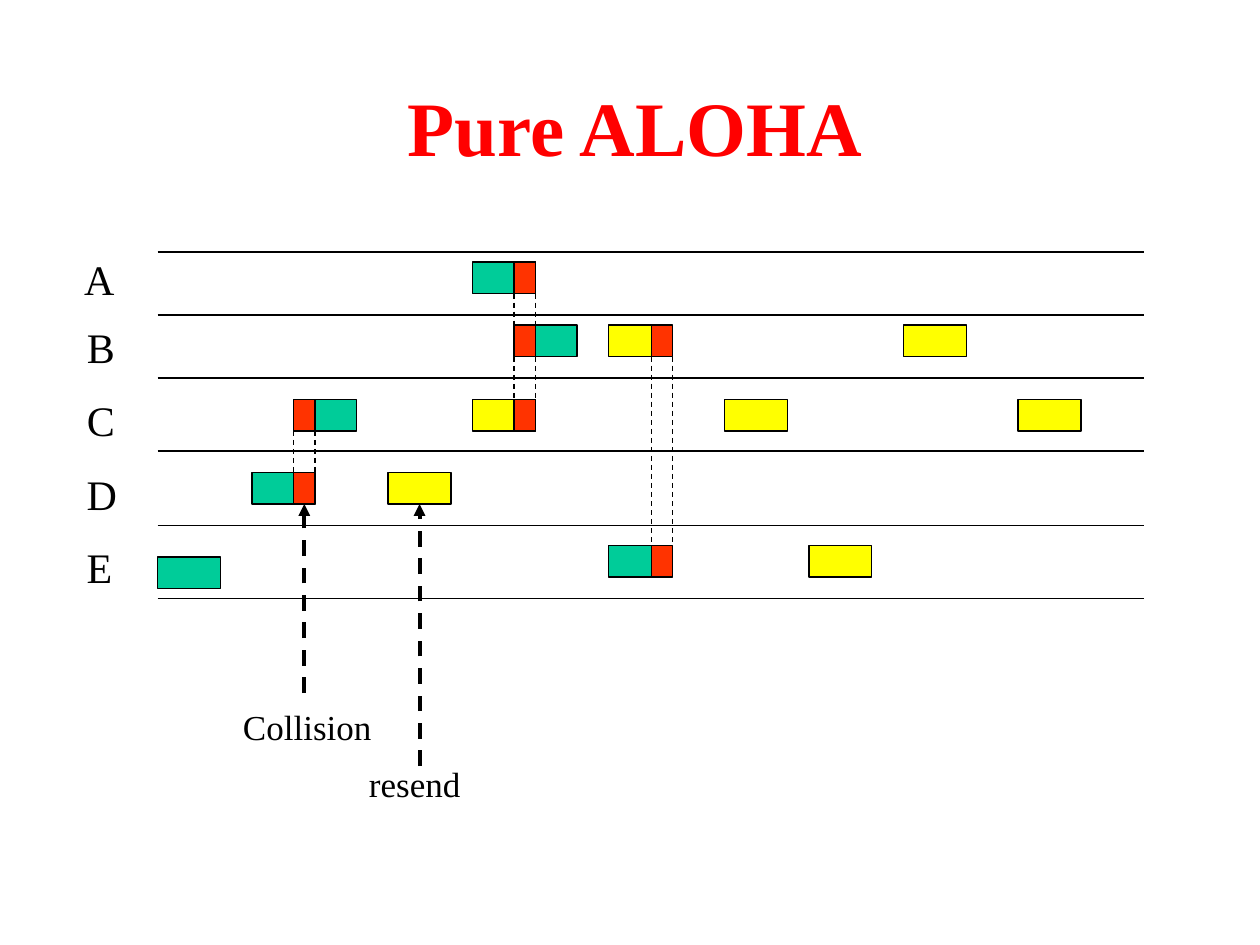
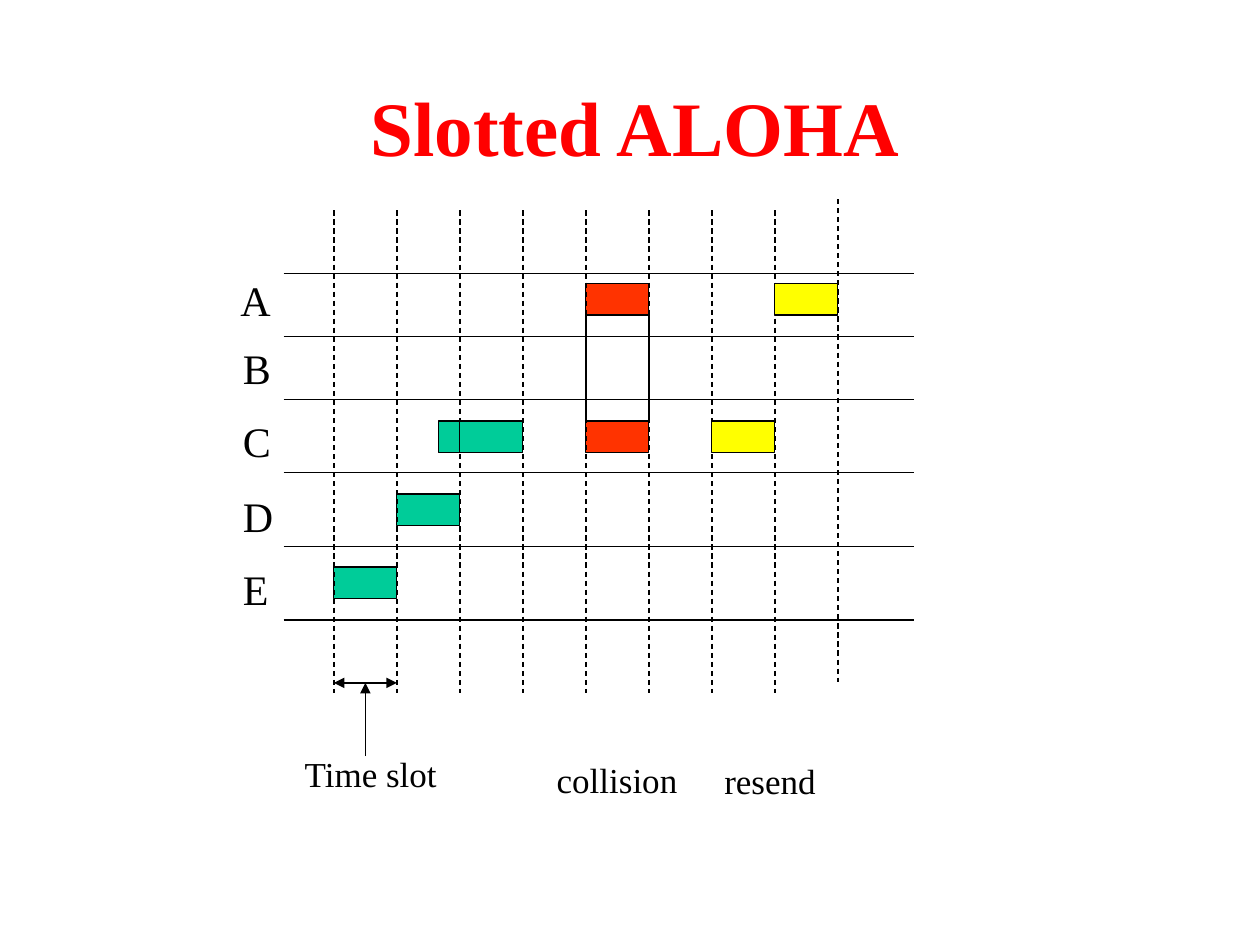
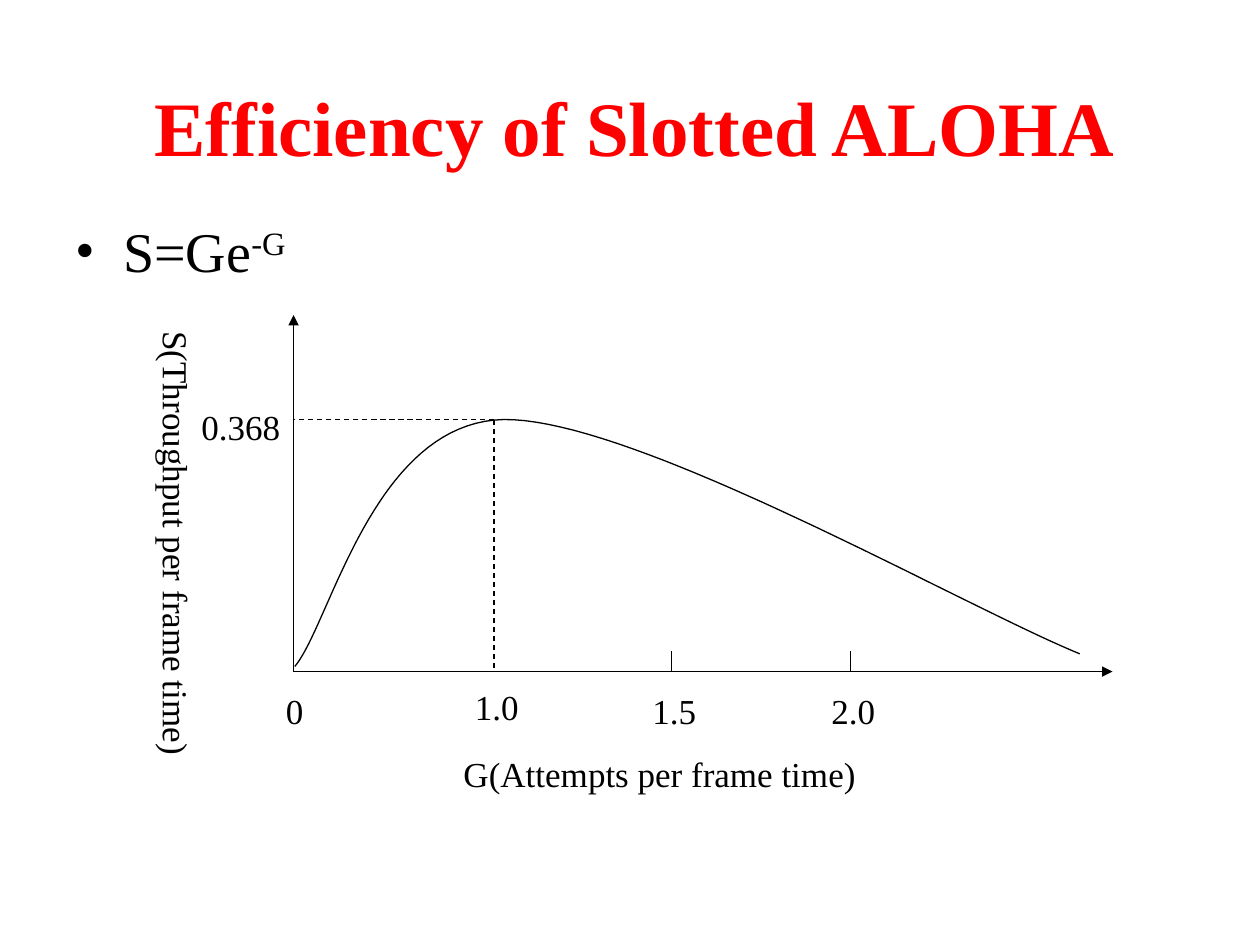
from lxml import etree
from pptx import Presentation
from pptx import util as u
from pptx.dml.color import RGBColor
from pptx.enum import dml, shapes, text
from pptx.oxml.ns import qn

# Shared style
FONT = "Times New Roman"
BLACK, TITLE_RED = "000000", "FF0000"
SENT, RESENT, COLLIDED = "00CC99", "FFFF00", "FF3300"
PACKET_W, PACKET_H, OVERLAP_W = 0.5, 0.25, 0.17
RESEND_W = 0.96

# Offsets from the top of the station diagram
LANE_LINES = [0, 0.5, 1, 1.58, 2.17, 2.75]
LABEL_TOPS = {"A": -0.04, "B": 0.5, "C": 1.08, "D": 1.67, "E": 2.25}
LABEL_WIDTHS = {"A": 0.44, "B": 0.42, "C": 0.42, "D": 0.44, "E": 0.4}
PACKET_TOPS = {"A": 0.08, "B": 0.58, "C": 1.17, "D": 1.75, "E": 2.33}


def rgb(value):
    return RGBColor.from_string(value)


def inches(*values):
    return [u.Inches(v) for v in values]


def style_text(p, size, color=BLACK, bold=False):
    p.font.name, p.font.size, p.font.bold = FONT, u.Pt(size), bold
    p.font.color.rgb = rgb(color)


def add_label(s, words, x, y, w, h=0.44, size=20, wrap=False):
    tf = s.shapes.add_textbox(*inches(x, y, w, h)).text_frame
    tf.word_wrap = wrap
    tf.auto_size = text.MSO_AUTO_SIZE.SHAPE_TO_FIT_TEXT
    p = tf.paragraphs[0]
    p.text = words
    style_text(p, size)
    return tf


def add_title_slide(prs, title):
    s = prs.slides.add_slide(prs.slide_layouts[6])
    tf = s.shapes.add_textbox(*inches(0.5, 0.5, 9.08, 1)).text_frame
    tf.word_wrap = True
    tf.vertical_anchor = text.MSO_ANCHOR.MIDDLE
    p = tf.paragraphs[0]
    p.text = title
    p.alignment = text.PP_ALIGN.CENTER
    style_text(p, 44, TITLE_RED, True)
    return s


def add_line(s, x1, y1, x2, y2, dashed=False, width=0.75, head=False, tail=False):
    line = s.shapes.add_connector(shapes.MSO_CONNECTOR.STRAIGHT, *inches(x1, y1, x2, y2))
    line.line.color.rgb = rgb(BLACK)
    line.line.width = u.Pt(width)
    if dashed:
        line.line.dash_style = dml.MSO_LINE.DASH
    for wanted, tag in ((head, "a:headEnd"), (tail, "a:tailEnd")):
        if wanted:
            etree.SubElement(line.line._get_or_add_ln(), qn(tag), type="triangle")
    etree.SubElement(line._element.spPr, qn("a:effectLst"))
    return line


def add_packet(s, x, y, color, w=PACKET_W):
    sp = s.shapes.add_shape(shapes.MSO_SHAPE.RECTANGLE, *inches(x, y, w, PACKET_H))
    sp.shadow.inherit = False
    sp.fill.solid()
    sp.fill.fore_color.rgb = rgb(color)
    sp.line.color.rgb = rgb(BLACK)
    sp.line.width = u.Pt(0.75)
    return sp


def add_collision(s, top, x, stations, w):
    """Dashed guides between stations, with the collided parts on top."""
    tops = [top + PACKET_TOPS[station] for station in stations]
    for edge in (x, x + w):
        add_line(s, edge, tops[0] + PACKET_H, edge, tops[-1], dashed=True)
    return [add_packet(s, x, y, COLLIDED, w) for y in tops]


def add_stations(s, left, right, top, label_x):
    for offset in LANE_LINES:
        add_line(s, left, top + offset, right, top + offset)
    for name, offset in LABEL_TOPS.items():
        x = label_x - (0.02 if name == "A" else 0)
        add_label(s, name, x, top + offset, LABEL_WIDTHS[name], 0.5, 24)


def add_curve(s, start, segments, steps=40):
    """Smooth open outline through cubic Bezier segments."""
    points = []
    p0 = start
    for p1, p2, p3 in segments:
        for i in range(1, steps + 1):
            t = i / steps
            weights = ((1 - t) ** 3, 3 * t * (1 - t) ** 2, 3 * t * t * (1 - t), t ** 3)
            points.append(inches(*(sum(k * q[axis] for k, q in zip(weights, (p0, p1, p2, p3)))
                                   for axis in (0, 1))))
        p0 = p3
    builder = s.shapes.build_freeform(*inches(*start))
    builder.add_line_segments(points, close=False)
    curve = builder.convert_to_shape()
    curve.shadow.inherit = False
    curve.fill.background()
    curve.line.color.rgb = rgb(BLACK)
    curve.line.width = u.Pt(0.75)


def add_bullet(s, base, exponent):
    tf = s.shapes.add_textbox(*inches(0.5, 1.67, 9.08, 5)).text_frame
    tf.word_wrap = True
    p = tf.paragraphs[0]
    p.space_before = u.Pt(8)
    style_text(p, 32)
    p.add_run().text = base
    r = p.add_run()
    r.text = exponent
    r.font._element.set("baseline", "30000")
    pPr = p._p.get_or_add_pPr()
    pPr.set("marL", str(u.Inches(0.38)))
    pPr.set("indent", str(-u.Inches(0.38)))
    run_defaults = pPr.find(qn("a:defRPr"))
    run_defaults.addprevious(etree.Element(qn("a:buFont"), typeface=FONT))
    run_defaults.addprevious(etree.Element(qn("a:buChar"), char="•"))


def pure_aloha(prs):
    s = add_title_slide(prs, "Pure ALOHA")
    top = 2
    add_stations(s, 1.25, 9.08, top, label_x=0.59)

    # Packets
    add_packet(s, 1.25, 4.42, SENT)
    for station, x, color in (("D", 2, SENT), ("C", 2.33, SENT), ("B", 7.17, RESENT),
                              ("C", 5.75, RESENT), ("C", 8.08, RESENT), ("E", 6.42, RESENT),
                              ("B", 4.83, RESENT), ("E", 4.83, SENT), ("C", 3.75, RESENT),
                              ("B", 4.08, SENT), ("A", 3.75, SENT)):
        add_packet(s, x, top + PACKET_TOPS[station], color)
    resent = add_packet(s, 3.08, top + PACKET_TOPS["D"], RESENT)

    # Collisions
    add_collision(s, top, 5.17, "BE", OVERLAP_W)
    add_collision(s, top, 4.08, "ABC", OVERLAP_W)
    collided = add_collision(s, top, 2.33, "CD", OVERLAP_W)[-1]

    # Callouts
    add_label(s, "resend", 2.83, 6, RESEND_W)
    add_label(s, "Collision", 1.83, 5.55, 1.22)
    for packet, y in ((resent, 6.08), (collided, 5.5)):
        x = (packet.left + packet.width / 2) / u.Inches(1)
        arrow = add_line(s, x, y, x, 4, dashed=True, width=2.25, tail=True)
        arrow.end_connect(packet, 2)


def slotted_aloha(prs):
    s = add_title_slide(prs, "Slotted ALOHA")
    top, first_slot = 2.17, 2.65
    add_stations(s, 2.25, 7.25, top, label_x=1.83)

    # Packets behind the slot lines
    for station, x in (("E", 2.65), ("D", 3.15), ("C", 3.48)):
        add_packet(s, x, top + PACKET_TOPS[station], SENT)
    add_collision(s, top, 4.65, "AC", PACKET_W)

    # Slot lines, the last one slightly raised
    for i in range(9):
        x = first_slot + i * PACKET_W
        y = 1.58 if i == 8 else 1.67
        add_line(s, x, y, x, y + 3.83, dashed=True)

    # Packets in front of the slot lines
    for station, x, color in (("C", 3.65, SENT), ("C", 5.65, RESENT), ("A", 6.15, RESENT)):
        add_packet(s, x, top + PACKET_TOPS[station], color)

    # Callouts
    add_label(s, "collision", 4.32, 5.97, 1.16)
    add_label(s, "resend", 5.65, 5.98, RESEND_W)
    add_label(s, "Time slot", 2.32, 5.92, 1.26)
    add_line(s, 2.9, 6, 2.9, 5.42, tail=True)
    add_line(s, first_slot, 5.42, first_slot + PACKET_W, 5.42, head=True, tail=True)


def efficiency(prs):
    s = add_title_slide(prs, "Efficiency of Slotted ALOHA")
    add_bullet(s, "S=Ge", "-G")

    # Throughput curve and axes
    left, base, peak_x, peak_y = 2.33, 5.33, 3.92, 3.33
    add_curve(s, (2.34, 5.29), [((2.62, 4.96), (2.96, 3.35), (4, 3.33)),
                                ((5.04, 3.32), (7.62, 4.8), (8.57, 5.19))])
    add_line(s, left, base, 8.83, base, tail=True)
    add_line(s, left, base, left, 2.5, tail=True)
    add_line(s, peak_x, peak_y, peak_x, base, dashed=True)
    add_line(s, peak_x, peak_y, left, peak_y, dashed=True)
    for x in (5.33, 6.75):
        add_line(s, x, base, x, 5.17)

    # Axis labels
    for words, x, y, w in (("0", 2.17, 5.42, 0.34), ("1.0", 3.67, 5.39, 0.55),
                           ("1.5", 5.08, 5.42, 0.55), ("2.0", 6.5, 5.42, 0.55),
                           ("0.368", 1.5, 3.17, 0.86)):
        add_label(s, words, x, y, w)
    add_label(s, "G(Attempts per frame time)", 3.58, 5.92, 4.08, wrap=True)
    tf = add_label(s, "S(Throughput per frame time)", 1.09, 2.53, 0.53, 3.57)
    tf.margin_left = tf.margin_right = u.Inches(0.05)
    tf.margin_top = tf.margin_bottom = u.Inches(0.1)
    tf._txBody.bodyPr.set("vert", "eaVert")


def main():
    prs = Presentation()
    prs.slide_width, prs.slide_height = inches(10, 7.5)
    pure_aloha(prs)
    slotted_aloha(prs)
    efficiency(prs)
    prs.save("out.pptx")


if __name__ == "__main__":
    main()
